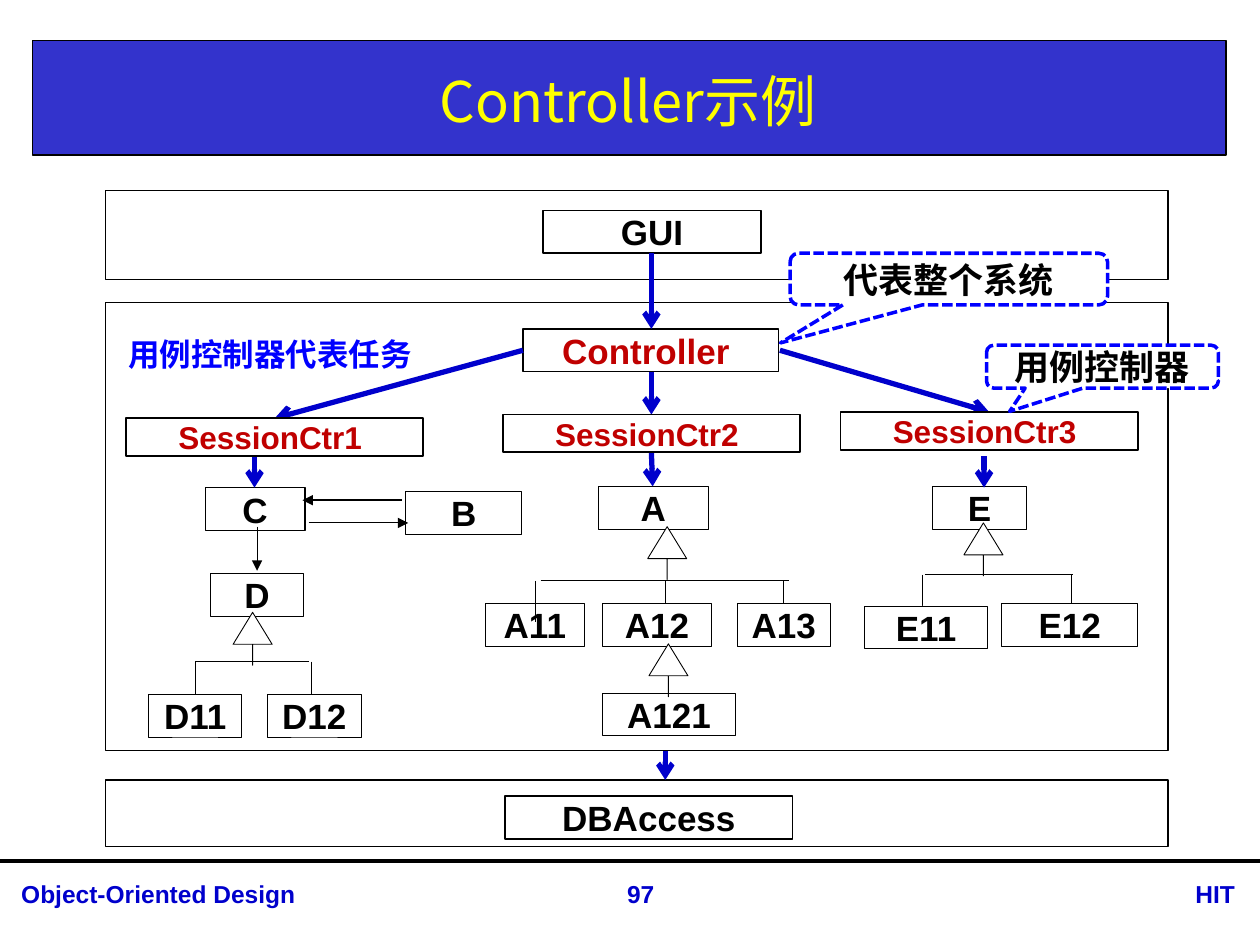
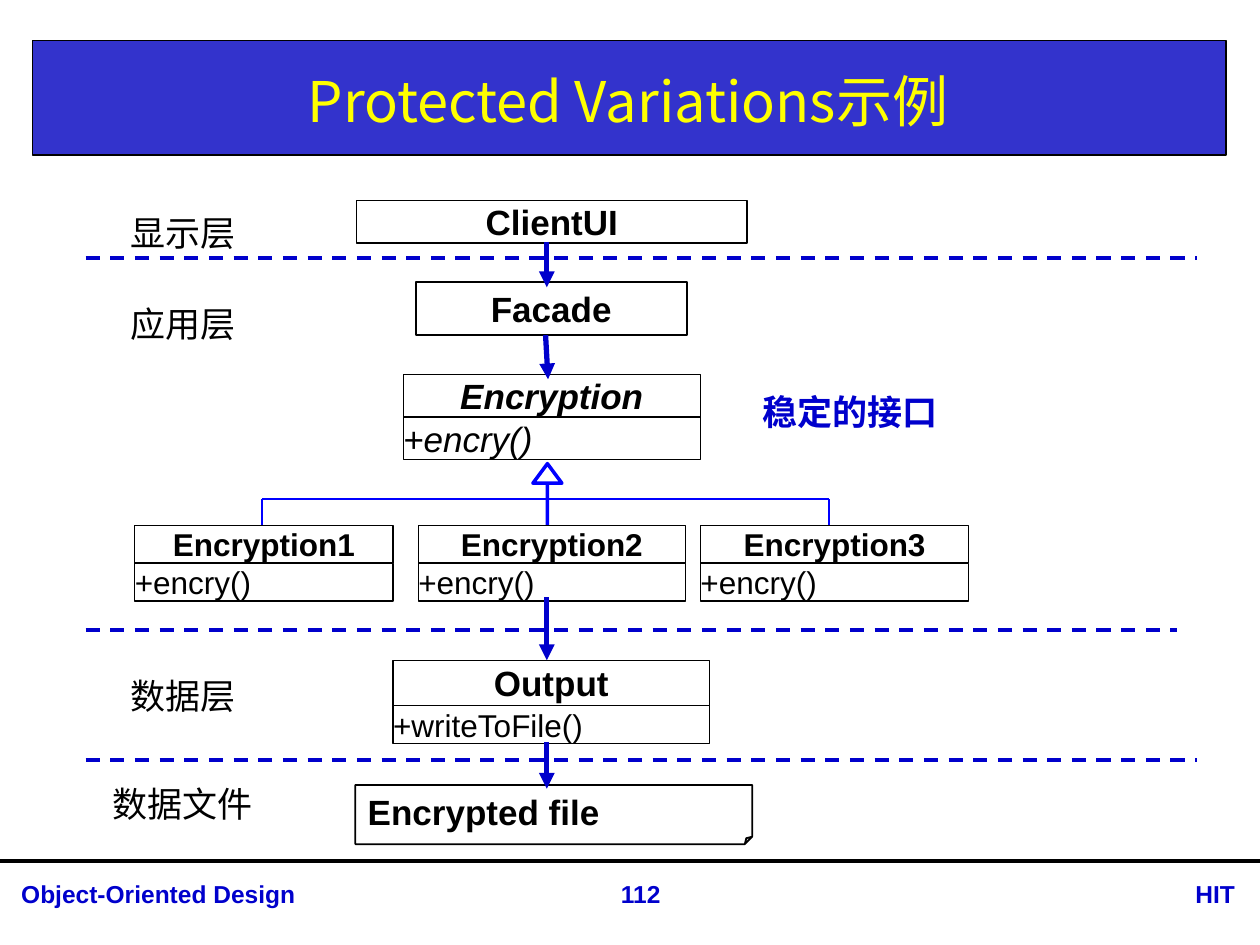
"""Build two design-pattern example slides with class diagrams."""
from dataclasses import dataclass

from lxml import etree
from pptx import Presentation
from pptx.dml.color import RGBColor
from pptx.enum.dml import MSO_LINE
from pptx.enum.shapes import MSO_CONNECTOR, MSO_SHAPE
from pptx.enum.text import MSO_ANCHOR, PP_ALIGN
from pptx.oxml.ns import qn
from pptx.util import Inches, Pt

RECT = MSO_SHAPE.RECTANGLE
UP = MSO_SHAPE.UP_ARROW
CALLOUT = MSO_SHAPE.ROUNDED_RECTANGULAR_CALLOUT
FOLD = MSO_SHAPE.FOLDED_CORNER
STRAIGHT = MSO_CONNECTOR.STRAIGHT
DASH, DOTS = MSO_LINE.DASH, MSO_LINE.SQUARE_DOT
LEFT, MID, RIGHT, FULL = PP_ALIGN.LEFT, PP_ALIGN.CENTER, PP_ALIGN.RIGHT, PP_ALIGN.JUSTIFY
TOP, CORE = MSO_ANCHOR.TOP, MSO_ANCHOR.MIDDLE


@dataclass(frozen=True)
class Theme:
    ink: str = "000000"
    paper: str = "FFFFFF"
    band: str = "3333CC"
    title: str = "FFFF00"
    navy: str = "0000CC"
    blue: str = "0000FF"
    red: str = "C00000"
    latin: str = "Arial"
    han: str = "Noto Sans CJK SC"
    head: int = 32
    big: int = 20
    small: int = 18
    foot: int = 14


T = Theme()

PENS = {
    "hair": (T.ink, 0.5, None, None),
    "edge": (T.ink, 0.75, None, None),
    "firm": (T.ink, 1, None, None),
    "rule": (T.ink, 2.25, None, None),
    "use": (T.ink, 0.5, None, "triangle"),
    "back": (T.ink, 1, None, "triangle"),
    "flow": (T.navy, 3, None, "arrow"),
    "call": (T.navy, 3, None, "triangle"),
    "tree": (T.blue, 1.5, None, None),
    "tip": (T.blue, 2, None, None),
    "note": (T.blue, 2, DOTS, None),
    "layer": (T.navy, 2, DASH, None),
}

BASE = dict(size=T.big, color=T.ink, bold=True, italic=False, font=T.latin,
            align=MID, anchor=CORE, pad=(0, 0), fill=T.paper, pen="hair", wrap=True)
FREE = dict(form=None, fill=None, pen=None, pad=(0.1, 0.05), anchor=TOP, align=LEFT)
LOOKS = {
    "box": {},
    "firm": dict(pen="firm"),
    "main": dict(pen="firm", color=T.red),
    "task": dict(pen="firm", color=T.red, size=T.small),
    "note": dict(form=CALLOUT, pen="note", font=T.han, pad=(0.1, 0.05)),
    "panel": dict(fill=None, pen="edge"),
    "band": dict(fill=T.band, pen="edge"),
    "title": dict(FREE, anchor=CORE, align=MID, size=T.head, color=T.title, font=T.han, bold=False),
    "foot": dict(FREE, size=T.foot, color=T.navy),
    "hint": dict(FREE, size=T.small, color=T.blue, font=T.han, wrap=False),
    "mark": dict(FREE, color=T.navy, font=T.han),
    "layer": dict(pen=None, font=T.han, bold=False, anchor=TOP, pad=(0, 0.01)),
    "name": dict(pen="edge"),
    "part": dict(pen="edge", bold=False, align=FULL),
    "file": dict(form=FOLD, pen="firm", align=FULL, anchor=TOP, pad=(0.1, 0.04), adj=(12500,)),
}

FOOT = [("Object-Oriented Design", 0.07, 4.63, LEFT), ("HIT", 8.87, 1.03, RIGHT)]

ROW = 0.34
ROOTS = [("A", 4.75, 3.86, 0.87), ("B", 3.22, 3.9, 0.92), ("D", 1.67, 4.55, 0.74),
         ("E", 7.4, 3.86, 0.75), ("A11", 3.85, 4.79, 0.79)]
LEAVES = [("A12", 4.78, 4.79, 0.87), ("A13", 5.85, 4.79, 0.74), ("A121", 4.78, 5.5, 1.06),
          ("D11", 1.18, 5.51, 0.74), ("D12", 2.12, 5.51, 0.75),
          ("E11", 6.86, 4.81, 0.98), ("E12", 7.95, 4.79, 1.08)]
ENDS = [("C", 1.63, 3.87, 0.79), ("GUI", 4.31, 1.67, 1.73), ("DBAccess", 4.01, 6.32, 2.28)]
TASKS = [("SessionCtr1 ", 1, 3.32), ("SessionCtr2 ", 3.99, 3.29), ("SessionCtr3 ", 6.67, 3.27)]
FORKS = [(4.29, 6.26, 4.61, (4.25, 5.28, 6.22), 4.94),
         (1.55, 2.45, 5.25, (1.55, 2.47), 5.56),
         (7.34, 8.52, 4.56, (7.32, 8.5), 4.88)]
PEAKS = [(5.14, 4.18), (1.85, 4.86), (7.65, 4.15), (5.15, 5.11)]
PANELS = [(1.51, 0.71), (2.4, 3.56), (6.19, 0.53)]
LINKS = [("use", 2.45, 4.15, 3.24, 4.15), ("use", 2.04, 4.18, 2.04, 4.53),
         ("back", 3.19, 3.97, 2.4, 3.97)]
FLOWS = [(4.15, 2.78, 2.18, 3.32), (5.17, 3.59, 5.18, 3.86), (6.19, 2.78, 7.85, 3.27),
         (5.17, 2.01, 5.17, 2.61), (5.28, 5.96, 5.28, 6.19), (5.17, 2.95, 5.17, 3.29),
         (7.81, 3.62, 7.81, 3.87), (2.02, 3.62, 2.02, 3.87)]
NOTES = [("代表整个系统", (6.27, 2.01, 2.52, 0.41), (-53000, 123600, 16700)),
         ("用例控制器", (7.83, 2.74, 1.84, 0.34), (-40000, 104400, 16700))]

LAYERS = [("显示层", 1.67), ("应用层", 2.39), ("数据层", 5.34), ("数据文件", 6.2)]
SPLITS = [(2.05, 9.5), (5, 9.34), (6.03, 9.5)]
KINDS = [("Encryption1", 1.07, 2.05), ("Encryption2", 3.32, 2.12), ("Encryption3", 5.56, 2.13)]
CALLS = [(4.34, 1.92, 4.34, 2.28), (4.33, 2.66, 4.35, 3.01),
         (4.34, 4.74, 4.34, 5.24), (4.34, 5.89, 4.34, 6.26)]


def assign(obj, **vals):
    for key, val in vals.items():
        setattr(obj, key, val)


def ink(line, pen):
    color, width, dash, tip = PENS[pen]
    line.color.rgb = RGBColor.from_string(color)
    assign(line, width=Pt(width), dash_style=dash)
    if tip:
        etree.SubElement(line._get_or_add_ln(), qn("a:tailEnd"), type=tip)


def link(slide, pen, *ends):
    wire = slide.shapes.add_connector(STRAIGHT, *map(Inches, ends))
    ink(wire.line, pen)
    etree.SubElement(wire._element.spPr, qn("a:effectLst"))


def bend(shape, vals):
    geom = shape._element.spPr.find(qn("a:prstGeom"))
    for old in list(geom):
        geom.remove(old)
    guides = etree.SubElement(geom, qn("a:avLst"))
    for i, val in enumerate(vals, 1):
        name = f"adj{i}" if len(vals) > 1 else "adj"
        etree.SubElement(guides, qn("a:gd"), name=name, fmla=f"val {val}")


def write(frame, text, look):
    side, edge = map(Inches, look["pad"])
    assign(frame, word_wrap=look["wrap"], vertical_anchor=look["anchor"],
           margin_left=side, margin_right=side, margin_top=edge, margin_bottom=edge)
    para = frame.paragraphs[0]
    para.alignment = look["align"]
    run = para.add_run()
    run.text = text
    assign(run.font, name=look["font"], size=Pt(look["size"]),
           bold=look["bold"], italic=look["italic"])
    run.font.color.rgb = RGBColor.from_string(look["color"])
    etree.SubElement(run._r.get_or_add_rPr(), qn("a:ea"), typeface=look["font"])


def put(slide, text, at, kind="box", **more):
    look = {**BASE, "form": RECT, "adj": (), **LOOKS[kind], **more}
    at = map(Inches, at)
    if look["form"] is None:
        shape = slide.shapes.add_textbox(*at)
    else:
        shape = slide.shapes.add_shape(look["form"], *at)
        shape.shadow.inherit = False
        bend(shape, look["adj"])
        if look["fill"]:
            shape.fill.solid()
            shape.fill.fore_color.rgb = RGBColor.from_string(look["fill"])
        else:
            shape.fill.background()
        if look["pen"]:
            ink(shape.line, look["pen"])
        else:
            shape.line.fill.background()
    if text:
        write(shape.text_frame, text, look)


def start(deck, title, page):
    slide = deck.slides.add_slide(deck.slide_layouts[6])
    put(slide, "", (0.26, 0.32, 9.47, 0.91), "band")
    link(slide, "rule", 0, 6.83, 10, 6.83)
    for text, x, wide, align in FOOT + [(page, 4.57, 1.03, MID)]:
        put(slide, text, (x, 6.93, wide, 0.34), "foot", align=align)
    put(slide, title, (0.26, 0.36, 9.45, 0.87), "title")
    return slide


def control(deck):
    slide = start(deck, "Controller示例", "97")
    for text, *at in ROOTS:
        put(slide, text, (*at, ROW))
    for text, *at in ENDS:
        put(slide, text, (*at, ROW), "firm")
    for x1, x2, y, drops, low in FORKS:
        link(slide, "hair", x1, y, x2, y)
        for x in drops:
            link(slide, "hair", x, y, x, low)
    for text, *at in LEAVES:
        put(slide, text, (*at, ROW))
    for x, y in PEAKS:
        put(slide, "", (x, y, 0.31, 0.42), form=UP, adj=(0, 81900))
    for pen, *ends in LINKS:
        link(slide, pen, *ends)
    put(slide, "Controller ", (4.15, 2.61, 2.03, ROW), "main")
    for y, high in PANELS:
        put(slide, "", (0.84, y, 8.43, high), "panel")
    for ends in FLOWS:
        link(slide, "flow", *ends)
    for text, x, y in TASKS:
        put(slide, text, (x, y, 2.36, 0.3), "task")
    for text, at, adj in NOTES:
        put(slide, text, at, "note", adj=adj)
    put(slide, "用例控制器代表任务", (0.92, 2.61, 2.47, 0.4), "hint")


def entity(slide, name, part, x, y, wide, highs, sizes, slant=False):
    top, low = highs
    put(slide, name, (x, y, wide, top), "name", size=sizes[0], italic=slant)
    put(slide, part, (x, y + top, wide, low), "part", size=sizes[1], italic=slant)


def protect(deck):
    slide = start(deck, "Protected Variations示例", "112")
    for text, y in LAYERS:
        put(slide, text, (0.78, y, 1.34, 0.36), "layer")
    for y, right in SPLITS:
        link(slide, "layer", 0.68, y, right, y)
    put(slide, "ClientUI", (2.83, 1.59, 3.1, ROW), "name")
    put(slide, "Facade", (3.3, 2.24, 2.15, 0.42), "firm", pad=(0, 0.04))
    entity(slide, "Encryption", "+encry()", 3.2, 2.97, 2.36, (ROW, ROW), (T.big, T.big), True)
    link(slide, "tree", 2.08, 3.96, 6.58, 3.96)
    for x in (2.08, 6.58):
        link(slide, "tree", x, 3.96, x, 4.17)
    put(slide, "", (4.23, 3.68, 0.23, 0.49), form=UP, adj=(0, 67600), pen="tip")
    for name, x, wide in KINDS:
        entity(slide, name, "+encry()", x, 4.17, wide, (0.3, 0.3), (T.small, T.small))
    entity(slide, "Output", "+writeToFile()", 3.12, 5.24, 2.51, (0.36, 0.3), (T.big, T.small))
    put(slide, "Encrypted file", (2.82, 6.23, 3.15, 0.47), "file")
    for ends in CALLS:
        link(slide, "call", *ends)
    put(slide, "稳定的接口", (5.95, 3.05, 2.17, 0.44), "mark")


def main():
    deck = Presentation()
    assign(deck, slide_width=Inches(10), slide_height=Inches(7.5))
    control(deck)
    protect(deck)
    deck.save("out.pptx")


if __name__ == "__main__":
    main()
